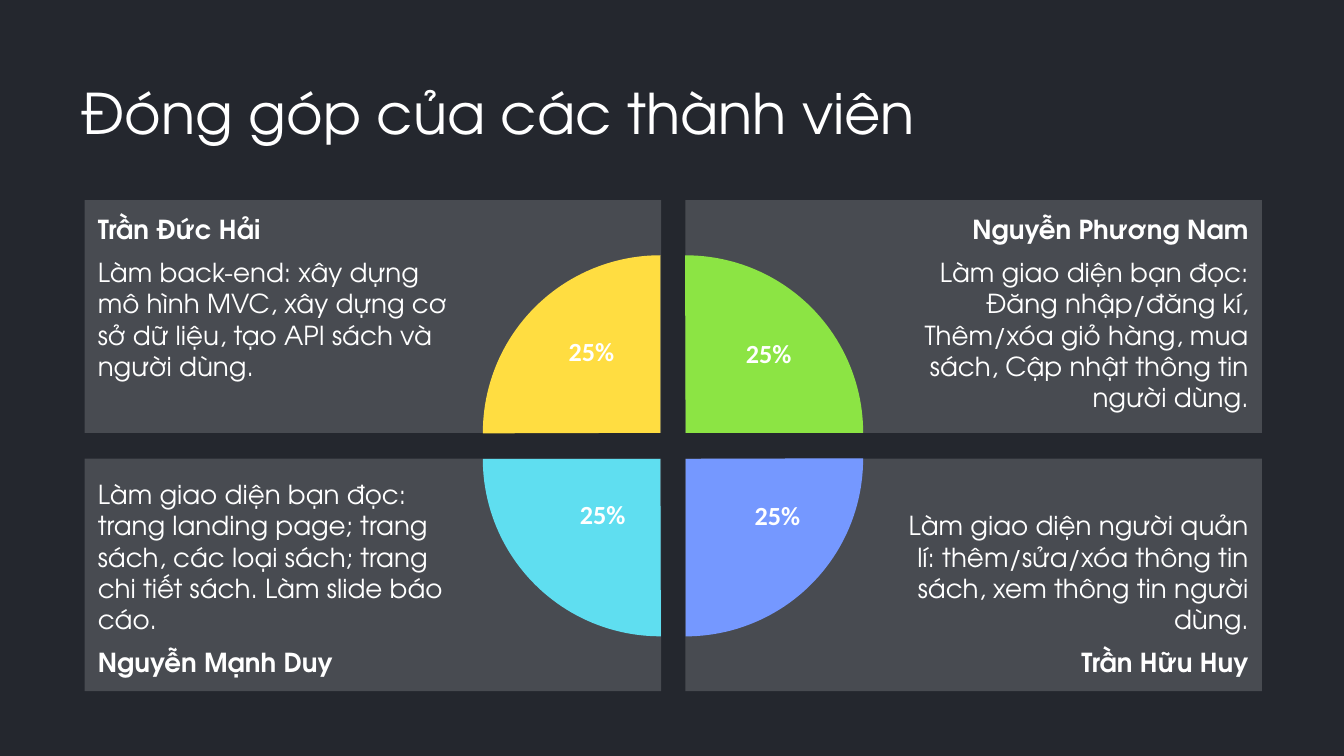
from lxml import etree
from pptx import Presentation
from pptx.dml.color import RGBColor
from pptx.enum.shapes import MSO_SHAPE
from pptx.enum.text import MSO_ANCHOR, MSO_AUTO_SIZE, PP_ALIGN
from pptx.oxml.ns import qn
from pptx.util import Pt

RECTANGLE, PIE = MSO_SHAPE.RECTANGLE, MSO_SHAPE.PIE
TOP, MIDDLE, BOTTOM = MSO_ANCHOR.TOP, MSO_ANCHOR.MIDDLE, MSO_ANCHOR.BOTTOM
LEFT, CENTER, RIGHT = PP_ALIGN.LEFT, PP_ALIGN.CENTER, PP_ALIGN.RIGHT
NO_AUTOFIT = MSO_AUTO_SIZE.NONE

TITLE_ONLY = 5
FONT, LABEL_FONT = "TeX Gyre Adventor", "Calibri"
BACKGROUND, WHITE = "24272E", "FFFFFF"

CARD_LEFTS, CARD_TOPS = (45.3, 367.2), (107.3, 245.7)
CARD_WIDTH, CARD_HEIGHT = 308.9, 124.6
CARD_INSET, CHART_INSET = 7.2, 108
PIE_LEFTS, PIE_TOPS, PIE_SIZE = (258.7, 272.2), (136.8, 150.7), 190.2
QUARTER_ANGLES = (107.89, 162)

# row, column, name, work, pie colour, pie rotation, label box
MEMBERS = [
    (0, 0, "Trần Đức Hải",
     "Làm back-end: xây dựng mô hình MVC, xây dựng cơ sở dữ liệu, "
     "tạo API sách và người dùng.",
     "FFDD41", 0, (287.3, 176.4, 59, 38.9)),
    (0, 1, "Nguyễn Phương Nam",
     "Làm giao diện bạn đọc: Đăng nhập/đăng kí, Thêm/xóa giỏ hàng, "
     "mua sách, Cập nhật thông tin người dùng.",
     "8CE444", 90, (382.3, 177.1, 59, 36.7)),
    (1, 0, "Nguyễn Mạnh Duy",
     "Làm giao diện bạn đọc: trang landing page; trang sách, các loại sách; "
     "trang chi tiết sách. Làm slide báo cáo.",
     "5FDEF0", 270, (299.5, 263.5, 46.8, 37.4)),
    (1, 1, "Trần Hữu Huy",
     "Làm giao diện người quản lí: thêm/sửa/xóa thông tin sách, "
     "xem thông tin người dùng.",
     "7598FF", 180, (391.7, 264.2, 49.7, 36)),
]


def color(hex_text):
    return RGBColor.from_string(hex_text)


def style(para, size, align, font=FONT, bold=False):
    para.alignment = align
    para.font.name = font
    para.font.size = Pt(size)
    para.font.bold = bold
    para.font.color.rgb = color(WHITE)


def set_insets(frame, left, top, right, bottom):
    frame.margin_left, frame.margin_top = Pt(left), Pt(top)
    frame.margin_right, frame.margin_bottom = Pt(right), Pt(bottom)


def add_filled_shape(page, kind, left, top, width, height, fill):
    shape = page.shapes.add_shape(kind, Pt(left), Pt(top), Pt(width), Pt(height))
    shape.shadow.inherit = False
    shape.line.fill.background()
    shape.fill.solid()
    shape.fill.fore_color.rgb = color(fill)
    return shape


def set_opacity(shape, percent):
    fill_color = shape.fill._xPr.find(qn("a:solidFill"))[0]
    etree.SubElement(fill_color, qn("a:alpha")).set("val", str(percent * 1000))


def add_title(page, text):
    title = page.shapes.title
    title.left, title.top, title.width, title.height = Pt(43.2), Pt(46.8), Pt(483), Pt(31)
    frame = title.text_frame
    frame.text = text
    frame.auto_size = NO_AUTOFIT
    frame.vertical_anchor = MIDDLE
    set_insets(frame, 0, 0, 0, 0)
    style(frame.paragraphs[0], 30, LEFT)
    frame.paragraphs[0].line_spacing = 0.9


def add_card(page, row, column, name, work):
    """Name sits on the outer edge of the grid, with the work towards the middle."""
    card = add_filled_shape(page, RECTANGLE, CARD_LEFTS[column], CARD_TOPS[row],
                            CARD_WIDTH, CARD_HEIGHT, WHITE)
    set_opacity(card, 17)
    frame = card.text_frame
    frame.word_wrap = True
    frame.vertical_anchor = BOTTOM if row else TOP
    left, right = (CHART_INSET, CARD_INSET) if column else (CARD_INSET, CHART_INSET)
    set_insets(frame, left, CARD_INSET, right, CARD_INSET)
    align = RIGHT if column else LEFT
    first, second = (work, name) if row else (name, work)
    for text, para in ((first, frame.paragraphs[0]), (second, frame.add_paragraph())):
        para.text = text
        style(para, 14, align, bold=text == name)
    para.space_before = para.space_after = Pt(6)


def add_quarter(page, row, column, fill, rotation):
    quarter = add_filled_shape(page, PIE, PIE_LEFTS[column], PIE_TOPS[row],
                               PIE_SIZE, PIE_SIZE, fill)
    quarter.adjustments[0], quarter.adjustments[1] = QUARTER_ANGLES
    quarter.rotation = rotation


def add_label(page, text, bounds):
    box = page.shapes.add_textbox(*(Pt(length) for length in bounds))
    box.text_frame.word_wrap = True
    para = box.text_frame.paragraphs[0]
    para.text = text
    style(para, 14, CENTER, LABEL_FONT, bold=True)


def main():
    deck = Presentation()
    deck.slide_width, deck.slide_height = Pt(720), Pt(405)
    page = deck.slides.add_slide(deck.slide_layouts[TITLE_ONLY])
    page.background.fill.solid()
    page.background.fill.fore_color.rgb = color(BACKGROUND)
    add_title(page, "Đóng góp của các thành viên")
    for row, column, name, work, *_ in MEMBERS:
        add_card(page, row, column, name, work)
    for row, column, _, _, fill, rotation, _ in MEMBERS:
        add_quarter(page, row, column, fill, rotation)
    for *_, label_bounds in MEMBERS:
        add_label(page, "25%", label_bounds)
    deck.save("out.pptx")


if __name__ == "__main__":
    main()
